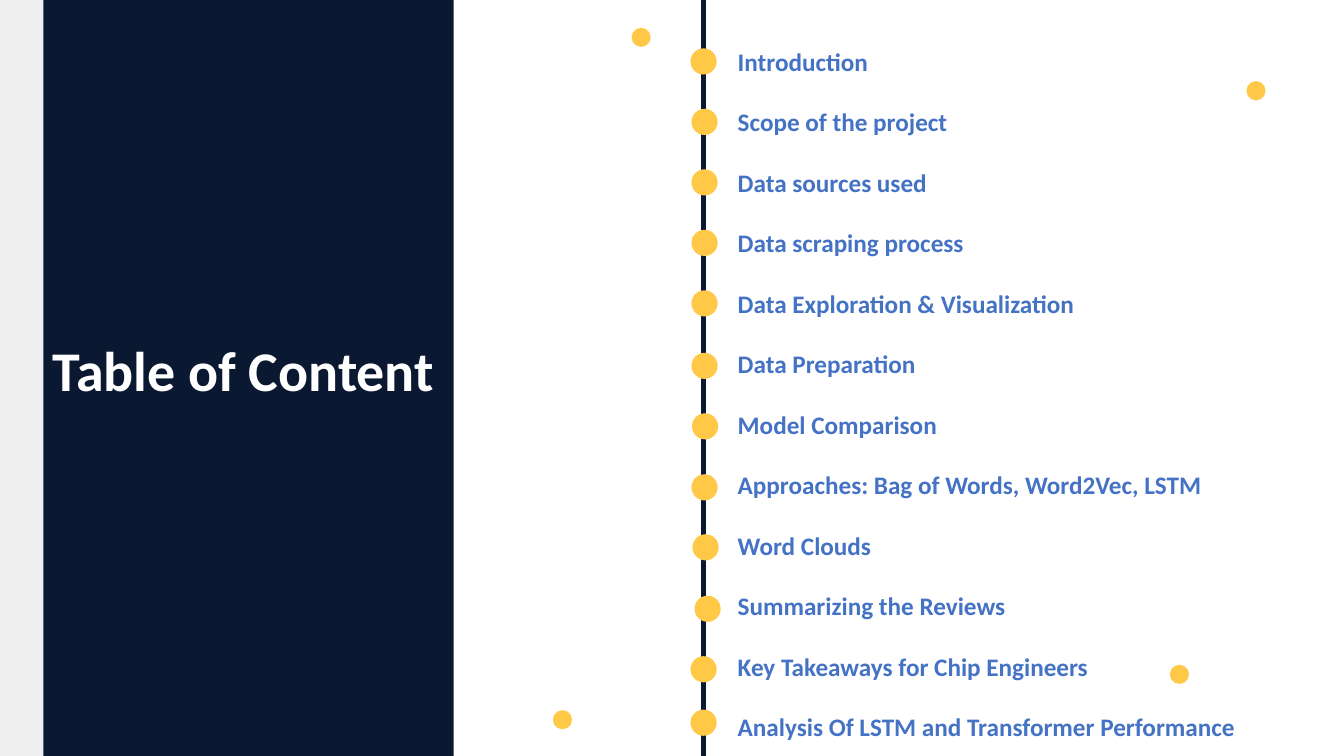
from typing import NamedTuple

from pptx import Presentation
from pptx import util as u
from pptx.dml.color import RGBColor
from pptx.enum import shapes, text
from pptx.oxml import parse_xml
from pptx.oxml.ns import nsdecls
from pptx.shapes.autoshape import Shape
from pptx.slide import Slide
from pptx.text.text import TextFrame

NAVY = RGBColor(0x0A, 0x19, 0x31)
GOLD = RGBColor(0xFF, 0xC9, 0x47)
BLUE = RGBColor(0x44, 0x72, 0xC4)
PALE = RGBColor(0xEF, 0xEF, 0xEF)
WHITE = RGBColor(0xFF, 0xFF, 0xFF)

FONT = "Calibri"
COLUMNS, ROWS = 133.33, 75
CELL = u.Inches(0.1)
AXIS = 69.8
FIRST_ROW, ROW_STEP = 6.1, 6
MARKER_SIZE, ACCENT_SIZE = 2.6, 1.9


class Area(NamedTuple):
    column: float
    row: float
    columns: float
    rows: float


class Topic(NamedTuple):
    title: str
    shift_column: float = 0.1
    shift_row: float = 0


class Accent(NamedTuple):
    column: float
    row: float


TOPICS = [
    Topic("Introduction", 0),
    Topic("Scope of the project"),
    Topic("Data sources used"),
    Topic("Data scraping process"),
    Topic("Data Exploration & Visualization"),
    Topic("Data Preparation", 0.1, 0.2),
    Topic("Model Comparison", 0.15, 0.2),
    Topic("Approaches: Bag of Words, Word2Vec, LSTM", 0.1, 0.25),
    Topic("Word Clouds", 0.2, 0.2),
    Topic("Summarizing the Reviews", 0.4, 0.3),
    Topic("Key Takeaways for Chip Engineers", 0, 0.3),
    Topic("Analysis Of LSTM and Transformer Performance", 0, -0.4),
]
ACCENTS = [Accent(55.8, 71.4), Accent(117, 66.9), Accent(124.6, 9), Accent(63.6, 3.7)]


def cells(count: float) -> u.Emu:
    return u.Emu(round(count * CELL))


def add_filled(page: Slide, kind: shapes.MSO_SHAPE, area: Area, color: RGBColor) -> Shape:
    shape = page.shapes.add_shape(kind, *map(cells, area))
    shape.shadow.inherit = False
    shape.fill.solid()
    shape.fill.fore_color.rgb = color
    shape.line.fill.background()
    return shape


def add_dot(page: Slide, column: float, row: float, size: float) -> None:
    area = Area(column - size / 2, row - size / 2, size, size)
    add_filled(page, shapes.MSO_SHAPE.OVAL, area, GOLD)


def add_axis(page: Slide) -> None:
    axis = page.shapes.add_connector(
        shapes.MSO_CONNECTOR.STRAIGHT, cells(AXIS), 0, cells(AXIS), cells(ROWS)
    )
    axis.line.color.rgb = NAVY
    axis.line.width = u.Pt(3)
    axis.element.spPr.append(parse_xml(f"<a:effectLst {nsdecls('a')}/>"))


def write_lines(
    frame: TextFrame, lines: list[str], size: float, color: RGBColor,
    align: text.PP_ALIGN, gap: float = 0,
) -> None:
    frame.word_wrap = True
    frame.auto_size = text.MSO_AUTO_SIZE.NONE
    for index, line in enumerate(lines):
        para = frame.add_paragraph() if index else frame.paragraphs[0]
        para.alignment = align
        para.space_before = u.Pt(gap if index else 0)
        span = para.add_run()
        span.text = line
        span.font.name = FONT
        span.font.size = u.Pt(size)
        span.font.bold = True
        span.font.color.rgb = color


def place_title(page: Slide, panel: Shape) -> None:
    title = page.shapes.title
    title.left, title.top, title.width, title.height = map(cells, Area(3.5, 32.8, 41.3, 7.7))
    title.text_frame.vertical_anchor = text.MSO_ANCHOR.TOP
    write_lines(title.text_frame, ["Table of Content"], 40, WHITE, text.PP_ALIGN.CENTER)
    panel.element.addnext(title.element)


def main() -> None:
    deck = Presentation()
    deck.slide_width, deck.slide_height = cells(COLUMNS), cells(ROWS)
    page = deck.slides.add_slide(deck.slide_layouts.get_by_name("Title Only"))

    add_axis(page)
    add_filled(page, shapes.MSO_SHAPE.RECTANGLE, Area(0, 0, 45, ROWS), NAVY)
    strip = add_filled(page, shapes.MSO_SHAPE.RECTANGLE, Area(0, 0, 4.3, ROWS), PALE)
    place_title(page, strip)

    for accent in ACCENTS:
        add_dot(page, accent.column, accent.row, ACCENT_SIZE)

    box = page.shapes.add_textbox(*map(cells, Area(72.2, 4.1, 52.1, 70.7)))
    titles = [topic.title for topic in TOPICS]
    write_lines(box.text_frame, titles, 18, BLUE, text.PP_ALIGN.LEFT, 21.6)

    for index, topic in enumerate(TOPICS):
        row = FIRST_ROW + index * ROW_STEP + topic.shift_row
        add_dot(page, AXIS + topic.shift_column, row, MARKER_SIZE)

    deck.save("out.pptx")


if __name__ == "__main__":
    main()
